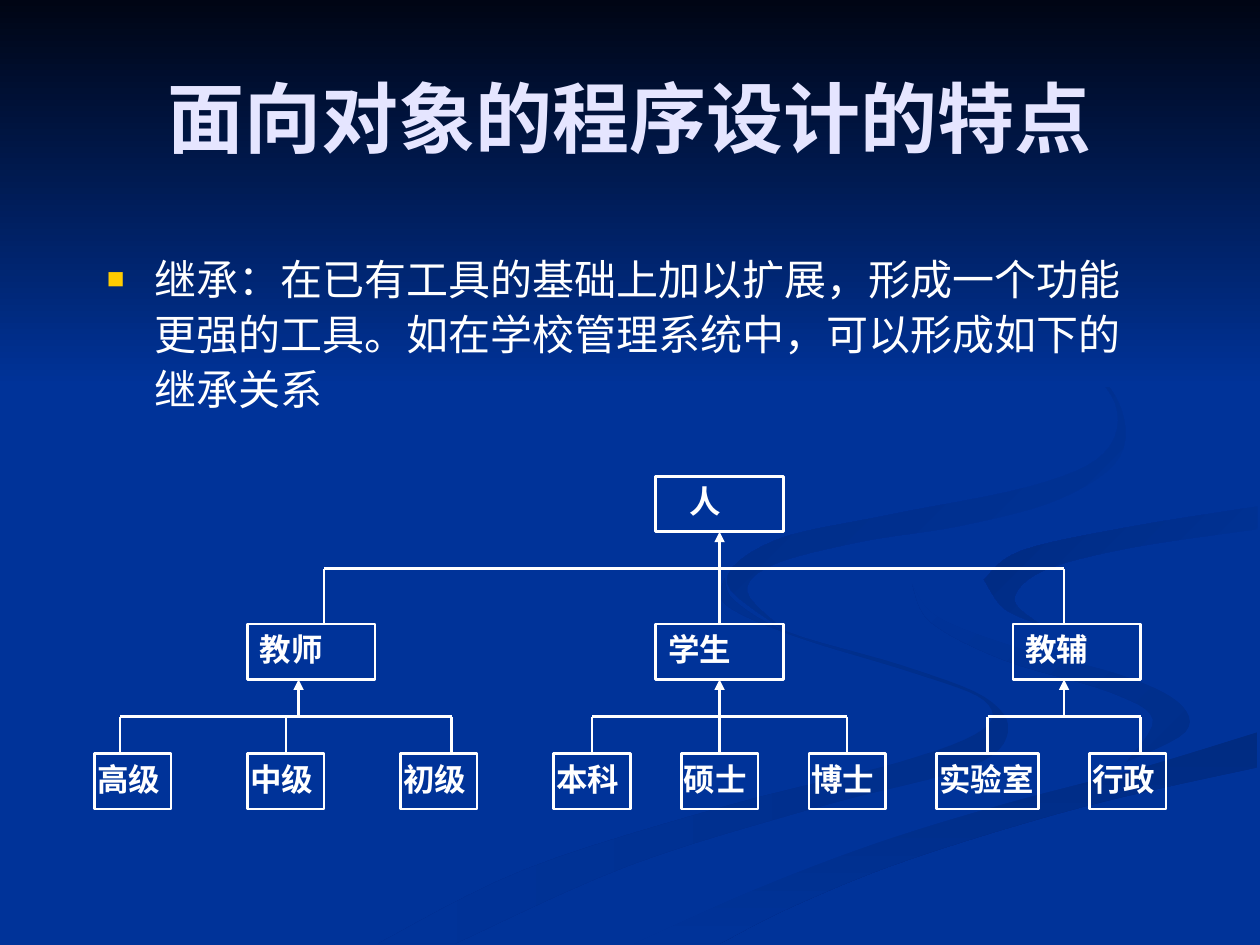
from dataclasses import dataclass
from typing import NamedTuple

from lxml import etree
from pptx import Presentation
from pptx import util as u
from pptx.dml.color import RGBColor
from pptx.enum import shapes, text
from pptx.oxml.ns import qn


@dataclass(frozen=True)
class Theme:
    background: str = "003399"
    night: str = "000514"
    shade: str = "002E8A"
    deep_shade: str = "002B81"
    heading: str = "E5E5FF"
    ink: str = "FFFFFF"
    bullet: str = "FFCC00"
    font: str = "Times New Roman"
    title_size: int = 44
    body_size: int = 24
    label_size: int = 18
    line_width: float = 1.5


class Ribbon(NamedTuple):
    edges: tuple            # smooth edges, in order around the ribbon
    colors: tuple[str, str]
    angle: int              # clockwise


class Level(NamedTuple):
    row: int                # top of the boxes
    cols: int               # usual box width
    inset: float            # text inset in inches


@dataclass(frozen=True)
class Node:
    label: str
    col: int                # left side of the box
    entry: float = 0        # column where the line from above arrives
    hub: float = 0          # column of the arrow from the children
    extra_cols: int = 0     # added to the level's width
    children: tuple = ()


THEME = Theme()
WIDTH, HEIGHT = 10, 7.5

# Tree grid: 40 columns by 18 rows
LEFT, TOP = 0.75, 3.78
COL, ROW = 8.1 / 40, 2.64 / 18
BOX_ROWS, ARROW_ROWS = 3, 2
LEVELS = (Level(0, 5, 0.27), Level(8, 5, 0.1), Level(15, 3, 0.02))

PEOPLE = Node("人", 22, hub=24.5, children=(
    Node("教师", 6, entry=9, hub=8, children=(
        Node("高级", 0, entry=1), Node("中级", 6, entry=7.5), Node("初级", 12, entry=14))),
    Node("学生", 22, entry=24.5, hub=24.5, children=(
        Node("本科", 18, entry=19.5), Node("硕士", 23, entry=24.5),
        Node("博士", 28, entry=29.5))),
    Node("教辅", 36, entry=38, hub=38, children=(
        Node("实验室", 33, entry=35, extra_cols=1), Node("行政", 39, entry=41))),
))

# Ribbon edges: a few knots each, in inches; curve() rounds them off
SWIRL_OUTER = ((7.62, 2.33), (8.43, 2.75), (8.86, 3.16), (8.89, 3.62), (8.41, 3.96),
               (7.64, 4.17), (6.83, 4.3), (6.14, 4.48), (5.93, 4.7), (6.22, 5))
SWIRL_INNER = ((7.62, 2.33), (8.46, 2.79), (8.85, 3.2), (8.76, 3.6), (8.18, 3.86),
               (7.04, 4.09), (6.15, 4.29), (5.77, 4.62), (6.22, 5))
STREAM_OUTER = ((5.75, 4.59), (5.83, 4.77), (6.26, 5.02), (7.15, 5.28), (7.81, 5.53),
                (8, 5.81), (7.69, 6.09), (6.51, 6.4), (4.99, 6.87), (3.61, 7.49))
STREAM_INNER = ((5.75, 4.59), (5.76, 4.8), (6.31, 5.05), (7.28, 5.35), (7.81, 5.56),
                (7.8, 5.79), (7.14, 6.05), (5.79, 6.39), (4.17, 6.9), (3, 7.49))
BEND_OUTER = ((7.24, 4.64), (7.45, 4.9), (8.11, 5.15), (8.88, 5.35), (9.35, 5.57),
              (9.41, 5.81), (8.94, 6.05))
BEND_INNER = ((7.24, 4.64), (7.39, 4.94), (7.97, 5.24), (8.8, 5.49), (9.15, 5.71),
              (8.94, 6.05))
BEND_TAIL = ((8.94, 6.05), (7.43, 6.43), (6.19, 6.84), (4.77, 7.49))
DUNE_UPPER = ((9.98, 5.81), (9.03, 6.1), (7.97, 6.38), (6.96, 6.69), (5.99, 7.06),
              (5.03, 7.49))
DUNE_LOWER = ((9.98, 6.09), (8.61, 6.4), (7.22, 6.82), (6.3, 7.19), (5.71, 7.49))
HOOK_TOP = ((9.98, 3.87), (8.74, 4.08), (7.7, 4.27), (7.24, 4.64))
HOOK_MIDDLE = ((7.81, 4.6), (8.11, 4.37), (8.98, 4.18), (9.98, 4.02))
HOOK_LOWER = ((9.98, 4.2), (8.96, 4.35), (8.28, 4.53), (8.05, 4.76), (8.26, 4.96))
HOOK_TIP = ((8.26, 4.96), (7.97, 4.83), (7.81, 4.6))
HOOK_RUN = ((9.98, 5.38), (9.04, 5.19), (8.17, 4.92), (7.81, 4.6))

RIBBONS = (
    Ribbon((STREAM_OUTER, STREAM_INNER[::-1]), (THEME.shade, THEME.background), 180),
    Ribbon((BEND_OUTER, BEND_INNER[::-1]), (THEME.shade, THEME.background), 225),
    Ribbon((DUNE_UPPER, DUNE_LOWER[::-1]), (THEME.deep_shade, THEME.background), 90),
    Ribbon((BEND_OUTER, BEND_TAIL, DUNE_UPPER[::-1], HOOK_RUN, HOOK_MIDDLE, HOOK_TOP),
           (THEME.background, THEME.background), 0),
    Ribbon((HOOK_MIDDLE, HOOK_LOWER, HOOK_TIP), (THEME.background, THEME.deep_shade), 225),
    Ribbon((SWIRL_OUTER, SWIRL_INNER[::-1]), (THEME.background, THEME.deep_shade), 225),
)


def rgb(color: str) -> RGBColor:
    return RGBColor.from_string(color)


def grid_x(col: float) -> int:
    return u.Inches(LEFT + col * COL)


def grid_y(row: float) -> int:
    return u.Inches(TOP + row * ROW)


def set_values(target, **values) -> None:
    for name, value in values.items():
        setattr(target, name, value)


def curve(knots: tuple, steps: int = 6) -> list:
    """Catmull-Rom spline that passes through every knot."""
    padded = (knots[0], *knots, knots[-1])
    points = []
    for before, start, end, after in zip(padded, padded[1:], padded[2:], padded[3:]):
        for step in range(steps):
            t = step / steps
            points.append(tuple(
                b + (c - a) * t / 2 + (2 * a - 5 * b + 4 * c - d) * t**2 / 2
                + (3 * b - a - 3 * c + d) * t**3 / 2
                for a, b, c, d in zip(before, start, end, after)))
    return [*points, knots[-1]]


def fade(shape, colors: tuple[str, str], angle: int) -> None:
    """Fill a backdrop shape with a two-colour gradient and no outline."""
    shape.shadow.inherit = False
    shape.line.fill.background()
    shape.fill.gradient()
    shape.fill.gradient_angle = 360 - angle
    for stop, color in zip(shape.fill.gradient_stops, colors):
        stop.color.rgb = rgb(color)


def draw_ribbon(slide, ribbon: Ribbon) -> None:
    start, *rest = [(u.Inches(x), u.Inches(y))
                    for edge in ribbon.edges for x, y in curve(edge)]
    builder = slide.shapes.build_freeform(*start)
    builder.add_line_segments(rest, close=True)
    fade(builder.convert_to_shape(), ribbon.colors, ribbon.angle)


def write(frame, words: str, size: int, color: str, bold: bool, align, **frame_format):
    """Put one formatted paragraph in a text frame."""
    set_values(frame, word_wrap=True, **frame_format)
    paragraph = frame.paragraphs[0]
    paragraph.alignment = align
    run = paragraph.add_run()
    run.text = words
    set_values(run.font, name=THEME.font, size=u.Pt(size), bold=bold)
    run.font.color.rgb = rgb(color)
    return paragraph


def add_bullet(paragraph, indent: float) -> None:
    properties = paragraph._p.get_or_add_pPr()
    properties.set("marL", str(u.Inches(indent)))
    properties.set("indent", str(-u.Inches(indent)))
    color = etree.SubElement(properties, qn("a:buClr"))
    etree.SubElement(color, qn("a:srgbClr"), val=THEME.bullet)
    for tag, name, value in (("a:buSzPct", "val", "70000"),
                             ("a:buFont", "typeface", THEME.font),
                             ("a:buChar", "char", "■")):
        etree.SubElement(properties, qn(tag)).set(name, value)


def style_line(line) -> None:
    line.color.rgb = rgb(THEME.ink)
    line.width = u.Pt(THEME.line_width)


def draw_box(slide, node: Node, level: Level) -> None:
    box = slide.shapes.add_shape(
        shapes.MSO_SHAPE.RECTANGLE, grid_x(node.col), grid_y(level.row),
        u.Inches((level.cols + node.extra_cols) * COL), u.Inches(BOX_ROWS * ROW))
    box.shadow.inherit = False
    box.fill.background()
    style_line(box.line)
    inset = u.Inches(level.inset)
    write(box.text_frame, node.label, THEME.label_size, THEME.ink, True,
          text.PP_ALIGN.JUSTIFY, vertical_anchor=text.MSO_ANCHOR.TOP,
          margin_left=inset, margin_right=inset)


def draw_line(slide, start: tuple, end: tuple, arrow: bool = False) -> None:
    link = slide.shapes.add_connector(
        shapes.MSO_CONNECTOR.STRAIGHT, grid_x(start[0]), grid_y(start[1]),
        grid_x(end[0]), grid_y(end[1]))
    style_line(link.line)
    properties = link._element.spPr
    if arrow:
        etree.SubElement(properties.find(qn("a:ln")), qn("a:tailEnd"), type="triangle")
    etree.SubElement(properties, qn("a:effectLst"))


def draw_tree(slide, node: Node, depth: int = 0) -> None:
    """Draw a node, the lines to its children, then each child's own tree."""
    draw_box(slide, node, LEVELS[depth])
    if not node.children:
        return
    box_bottom = LEVELS[depth].row + BOX_ROWS
    bar = box_bottom + ARROW_ROWS
    draw_line(slide, (node.hub, bar), (node.hub, box_bottom), arrow=True)
    draw_line(slide, (node.children[0].entry, bar), (node.children[-1].entry, bar))
    for child in node.children:
        draw_line(slide, (child.entry, bar), (child.entry, LEVELS[depth + 1].row))
        draw_tree(slide, child, depth + 1)


def main() -> None:
    deck = Presentation()
    set_values(deck, slide_width=u.Inches(WIDTH), slide_height=u.Inches(HEIGHT))
    slide = deck.slides.add_slide(deck.slide_layouts[5])

    # Backdrop: ribbons, then the night sky
    slide.background.fill.solid()
    slide.background.fill.fore_color.rgb = rgb(THEME.background)
    for ribbon in RIBBONS:
        draw_ribbon(slide, ribbon)
    sky = slide.shapes.add_shape(
        shapes.MSO_SHAPE.RECTANGLE, 0, 0, deck.slide_width, u.Inches(0.41 * HEIGHT))
    fade(sky, (THEME.night, THEME.background), 90)

    # Title, brought in front of the backdrop
    heading = slide.shapes.title
    slide.shapes._spTree.append(heading._element)
    set_values(heading, left=u.Inches(0.05 * WIDTH), top=u.Inches(0.04 * HEIGHT),
               width=u.Inches(0.9 * WIDTH), height=u.Inches(1.25))
    write(heading.text_frame, "面向对象的程序设计的特点", THEME.title_size, THEME.heading,
          True, text.PP_ALIGN.CENTER, vertical_anchor=text.MSO_ANCHOR.MIDDLE)

    # Explanation
    body = slide.shapes.add_textbox(*map(u.Inches, (LEFT, 1.92, 0.85 * WIDTH, 1.61)))
    inheritance = write(
        body.text_frame,
        "继承：在已有工具的基础上加以扩展，形成一个功能更强的工具。"
        "如在学校管理系统中，可以形成如下的继承关系",
        THEME.body_size, THEME.ink, False, text.PP_ALIGN.LEFT)
    set_values(inheritance, line_spacing=1.1, space_before=u.Pt(6))
    add_bullet(inheritance, 0.38)

    # Inheritance tree
    draw_tree(slide, PEOPLE)

    deck.save("out.pptx")


if __name__ == "__main__":
    main()
